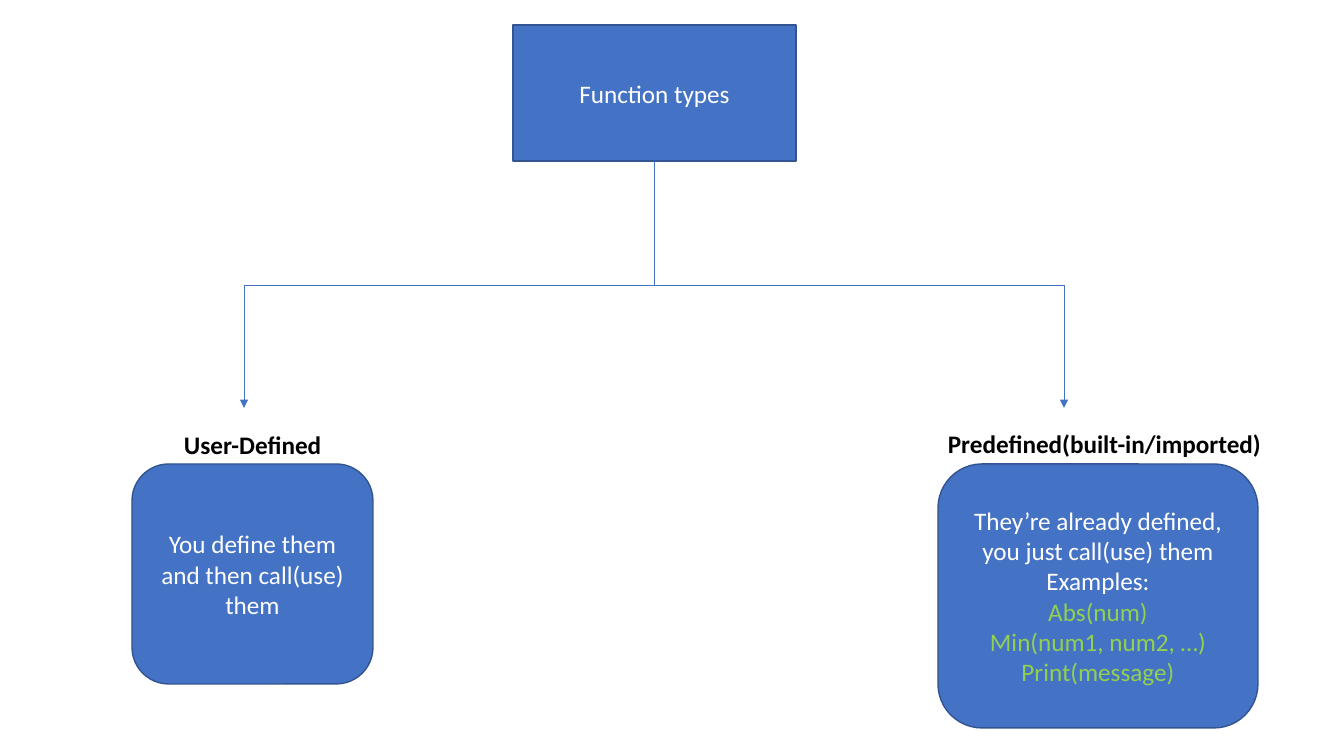
from pptx import Presentation
from pptx.dml.color import RGBColor
from pptx.enum.shapes import MSO_CONNECTOR, MSO_SHAPE
from pptx.enum.text import MSO_ANCHOR, PP_ALIGN
from pptx.oxml.ns import qn
from pptx.util import Emu, Pt
from lxml.etree import SubElement

BLUE = RGBColor(0x44, 0x72, 0xC4)
DARK_BLUE = RGBColor(0x32, 0x54, 0x91)
GREEN = RGBColor(0x92, 0xD0, 0x50)
WHITE = RGBColor(0xFF, 0xFF, 0xFF)
BLACK = RGBColor(0x00, 0x00, 0x00)

WIDTH, HEIGHT = 1344, 756
EMU_PER_PIXEL = 12192000 / WIDTH

ROOT_BOX = (513, 25, 283, 136)
ROOT_LINES = [("Function types", WHITE)]
BRANCH_Y, ARROW_END_Y = 285, 408

BRANCHES = [
    {
        "arrow_x": 244,
        "label": "User-Defined",
        "label_box": (174, 424, 200, 40),
        "box": (132, 464, 241, 220),
        "lines": [("You define them and then call(use) them", WHITE)],
    },
    {
        "arrow_x": 1064,
        "label": "Predefined(built-in/imported)",
        "label_box": (938, 423, 342, 40),
        "box": (938, 464, 320, 264),
        "lines": [
            ("They’re already defined, you just call(use) them", WHITE),
            ("Examples:", WHITE),
            ("Abs(num)", GREEN),
            ("Min(num1, num2, …)", GREEN),
            ("Print(message)", GREEN),
        ],
    },
]


def emu(*pixels):
    """Turn pixel lengths into EMU."""
    return [Emu(round(pixel * EMU_PER_PIXEL)) for pixel in pixels]


def write_lines(text_frame, lines, alignment, bold=False):
    """Write one formatted paragraph for each (text, colour) pair."""
    text_frame.text = "\n".join(text for text, _ in lines)
    for paragraph, (_, color) in zip(text_frame.paragraphs, lines):
        paragraph.alignment = alignment
        font = paragraph.runs[0].font
        font.name, font.size, font.bold = "Calibri", Pt(18), bold
        font.color.rgb = color


def add_box(slide, preset, box, lines):
    """Add a blue box with centred text."""
    shape = slide.shapes.add_shape(preset, *emu(*box))
    shape.shadow.inherit = False
    shape.fill.solid()
    shape.fill.fore_color.rgb = BLUE
    shape.line.color.rgb = DARK_BLUE
    shape.line.width = Pt(1)
    shape.text_frame.word_wrap = True
    shape.text_frame.vertical_anchor = MSO_ANCHOR.MIDDLE
    write_lines(shape.text_frame, lines, PP_ALIGN.CENTER)


def add_label(slide, box, text):
    """Add a bold branch heading."""
    text_frame = slide.shapes.add_textbox(*emu(*box)).text_frame
    text_frame.word_wrap = True
    write_lines(text_frame, [(text, BLACK)], PP_ALIGN.LEFT, bold=True)


def add_line(slide, start, end, arrow=False):
    """Add a thin connector, with an arrowhead at its end if wanted."""
    connector = slide.shapes.add_connector(MSO_CONNECTOR.STRAIGHT, *emu(*start, *end))
    connector.line.color.rgb = BLUE
    connector.line.width = Pt(0.5)
    if arrow:
        SubElement(connector.line._get_or_add_ln(), qn("a:tailEnd"), type="triangle")
    SubElement(connector._element.spPr, qn("a:effectLst"))


presentation = Presentation()
presentation.slide_width, presentation.slide_height = emu(WIDTH, HEIGHT)
slide = presentation.slides.add_slide(presentation.slide_layouts[6])

left, top, width, height = ROOT_BOX
trunk_x = left + width // 2
add_box(slide, MSO_SHAPE.RECTANGLE, ROOT_BOX, ROOT_LINES)
add_line(slide, (trunk_x, top + height), (trunk_x, BRANCH_Y))

for branch in BRANCHES:
    corner = (branch["arrow_x"], BRANCH_Y)
    add_line(slide, (trunk_x, BRANCH_Y), corner)
    add_line(slide, corner, (branch["arrow_x"], ARROW_END_Y), arrow=True)
    add_label(slide, branch["label_box"], branch["label"])
    add_box(slide, MSO_SHAPE.ROUNDED_RECTANGLE, branch["box"], branch["lines"])

presentation.save("out.pptx")
